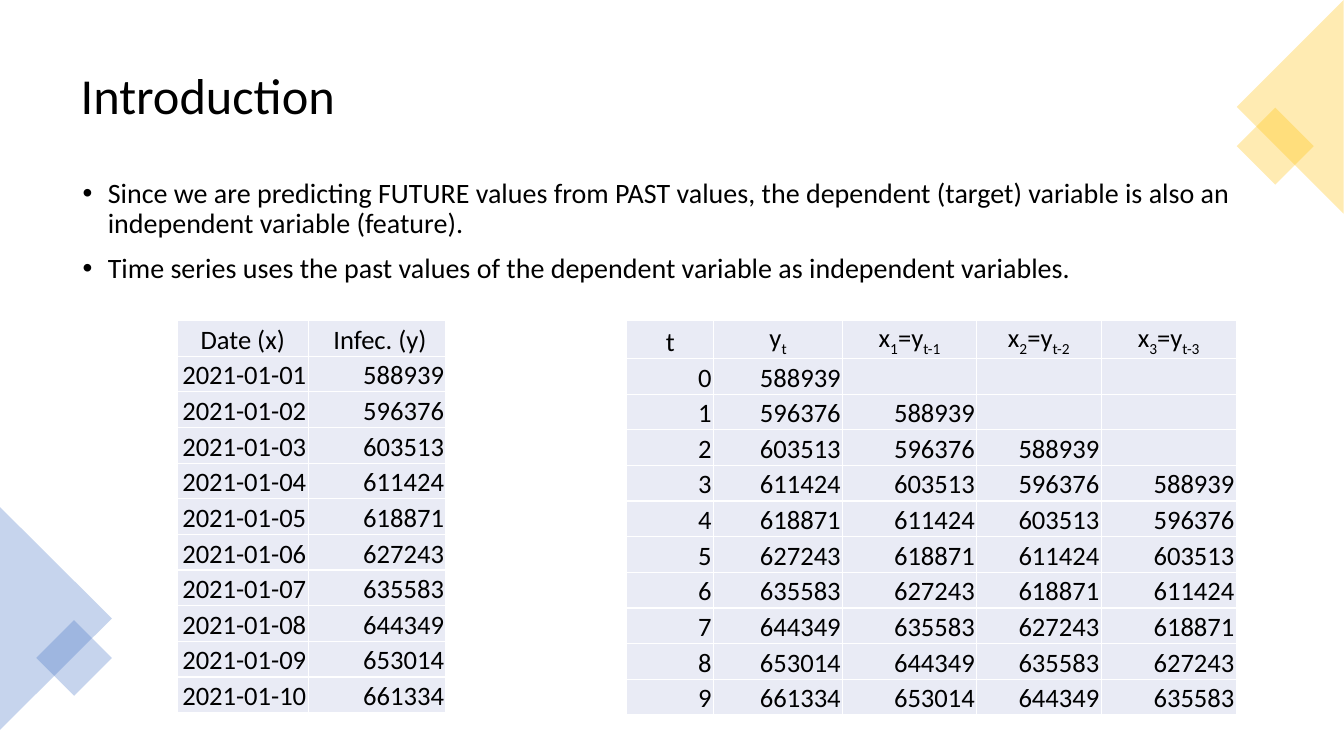
from dataclasses import dataclass

from lxml import etree
from pptx import Presentation
from pptx.dml.color import RGBColor
from pptx.enum import shapes, text
from pptx.oxml import ns
from pptx.util import Pt


@dataclass(frozen=True)
class Theme:
    font: str = "Calibri"
    ink: str = "000000"
    blue: str = "4472C4"
    gold: str = "FFC000"
    cell: str = "E9EBF5"
    border: str = "FFFFFF"
    title: int = 36
    body: int = 20
    table: int = 19


theme = Theme()


def style(p, size):
    for r in p.runs:
        r.font.name = theme.font
        r.font.size = Pt(size)
        r.font.color.rgb = RGBColor.from_string(theme.ink)


def add_grid(s, left, top, widths, rows):
    """Add a table; in a cell, every second part between bars is a subscript."""
    row_height = 25.46
    frame = s.shapes.add_table(len(rows), len(widths), Pt(left), Pt(top),
                               Pt(sum(widths)), Pt(row_height * len(rows)))
    table = frame.table
    table.first_row = table.horz_banding = False
    for column, width in zip(table.columns, widths):
        column.width = Pt(width)
    for i, values in enumerate(rows):
        table.rows[i].height = Pt(row_height)
        for j, value in enumerate(values):
            cell = table.cell(i, j)
            cell.vertical_anchor = text.MSO_ANCHOR.BOTTOM
            cell.margin_left = cell.margin_right = cell.margin_top = Pt(1.4)
            cell.margin_bottom = 0
            # Borders come before the fill in the cell properties
            tcPr = cell._tc.get_or_add_tcPr()
            for side in ("lnL", "lnR", "lnT", "lnB"):
                ln = etree.SubElement(tcPr, ns.qn(f"a:{side}"), w=str(Pt(1)))
                fill = etree.SubElement(ln, ns.qn("a:solidFill"))
                etree.SubElement(fill, ns.qn("a:srgbClr"), val=theme.border)
            cell.fill.solid()
            cell.fill.fore_color.rgb = RGBColor.from_string(theme.cell)
            p = cell.text_frame.paragraphs[0]
            p.alignment = text.PP_ALIGN.RIGHT if i else text.PP_ALIGN.CENTER
            if not value:
                continue
            for k, part in enumerate(value.split("|")):
                r = p.add_run()
                r.text = part
                if k % 2:
                    r.font._element.set("baseline", "-25000")
            style(p, theme.table)


prs = Presentation()
prs.slide_width, prs.slide_height = Pt(960), Pt(540)
s = prs.slides.add_slide(prs.slide_layouts[1])

# Title
title = s.shapes.title
title.left, title.top, title.width, title.height = Pt(50.4), Pt(25.2), Pt(859), Pt(89.3)
tf = title.text_frame
tf.text = "Introduction"
tf.auto_size = text.MSO_AUTO_SIZE.NONE
tf.vertical_anchor = text.MSO_ANCHOR.MIDDLE
p = tf.paragraphs[0]
p.alignment = text.PP_ALIGN.LEFT
p.line_spacing = 0.9
style(p, theme.title)

# Bullet list
body = s.placeholders[1]
body.left, body.top, body.width, body.height = Pt(51.8), Pt(124.6), Pt(859), Pt(346.3)
tf = body.text_frame
tf.text = (
    "Since we are predicting FUTURE values from PAST values, the dependent (target) "
    "variable is also an independent variable (feature).\n"
    "Time series uses the past values of the dependent variable as independent variables."
)
tf.auto_size = text.MSO_AUTO_SIZE.NONE
for i, p in enumerate(tf.paragraphs):
    pPr = p._p.get_or_add_pPr()
    pPr.set("marL", str(Pt(18)))
    pPr.set("indent", str(Pt(-18)))
    etree.SubElement(pPr, ns.qn("a:buFont"), typeface="Arial")
    etree.SubElement(pPr, ns.qn("a:buChar"), char="•")
    p.line_spacing = 0.9
    p.space_before = Pt(10 if i else 0)
    style(p, theme.body)

# Corner ornaments: left, top, width, height, rotation
TRIANGLE = shapes.MSO_SHAPE.ISOSCELES_TRIANGLE
SQUARE = shapes.MSO_SHAPE.RECTANGLE
ornaments = [
    (theme.blue, [(TRIANGLE, -39.6, 401.8, 159.1, 79.9, 90),
                  (SQUARE, 33.8, 450.9, 38.2, 38.2, 45)]),
    (theme.gold, [(SQUARE, 891.4, 85, 38.9, 38.9, 45),
                  (TRIANGLE, 845.3, 38.2, 152.6, 76.3, 270)]),
]
for color, pieces in ornaments:
    group = s.shapes.add_group_shape()
    for kind, left, top, width, height, rotation in pieces:
        sp = group.shapes.add_shape(kind, Pt(left), Pt(top), Pt(width), Pt(height))
        sp.rotation = rotation
        sp.shadow.inherit = False
        sp.line.fill.background()
        sp.fill.solid()
        sp.fill.fore_color.rgb = RGBColor.from_string(color)
        clr = sp._element.spPr.find(".//" + ns.qn("a:srgbClr"))
        etree.SubElement(clr, ns.qn("a:alpha"), val="30000")

# Daily infections, and the same series lagged by one to three days
infections = [588939, 596376, 603513, 611424, 618871,
              627243, 635583, 644349, 653014, 661334]
daily = [["Date (x)", " Infec. (y)"]]
lagged = [["t", "y|t"] + [f"x|{lag}|=y|t-{lag}" for lag in (1, 2, 3)]]
for t, count in enumerate(infections):
    daily.append([f"2021-01-{t + 1:02}", str(count)])
    lagged.append([str(t)] + [str(infections[t - lag]) if t >= lag else ""
                              for lag in range(4)])

add_grid(s, 126.7, 229, [93.4, 98.4], daily)
add_grid(s, 447.8, 229, [61.9, 92.2, 95.8, 88.9, 96.5], lagged)

prs.save("out.pptx")
